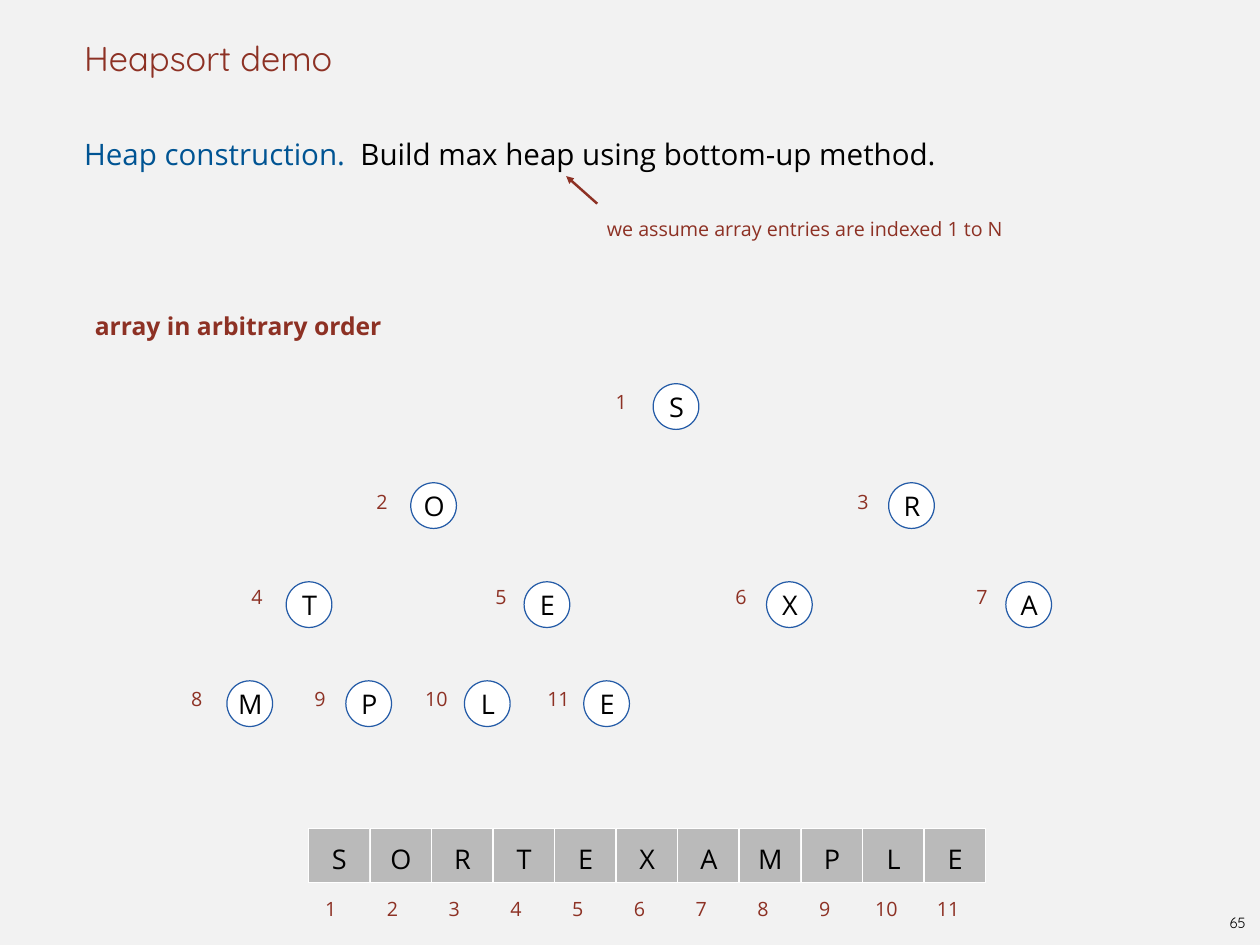
import pptx
import pptx.dml.color
import pptx.enum.shapes
import pptx.enum.text
import pptx.oxml
import pptx.oxml.ns
import pptx.util
from pptx.util import Cm, Pt

RED, BLUE, BLACK, WHITE = "8D3124", "005493", "000000", "FFFFFF"
BODY_FONT, TITLE_FONT = "Open Sans", "Quicksand"
ALIGN = pptx.enum.text.PP_ALIGN
ANCHOR = pptx.enum.text.MSO_ANCHOR
SHAPE = pptx.enum.shapes.MSO_SHAPE

LETTERS = "SORTEXAMPLE"

# Heap levels: label top, then (node centre, label left) for each node, in cm
NODE_SIZE = 1.31
FIRST_LEVEL, LEVEL_STEP = 11.66, 2.84
LEVELS = [
    (11.18, [(19.38, 17.5)]),
    (14.05, [(12.43, 10.64), (26.13, 24.43)]),
    (16.76, [(8.86, 7.06), (15.68, 14.05), (22.63, 20.93), (29.49, 27.84)]),
    (19.71, [(7.16, 5.33), (10.57, 8.86), (13.97, 12.04), (17.39, 15.54)]),
]

# Array row, in cm
CELL_LEFT, CELL_TOP, CELL_STEP = 8.84, 23.75, 1.765
CELL_WIDTH, CELL_HEIGHT = 1.75, 1.55
INDEX_LEFT, INDEX_TOP, INDEX_STEP = 9.17, 25.37, 1.77


def color(hex_string):
    return pptx.dml.color.RGBColor.from_string(hex_string)


def write(shape, *pieces, size=16, font=BODY_FONT, bold=False, align=ALIGN.LEFT,
          anchor=ANCHOR.TOP, spacing=1.0, indent=0.15, wrap=True):
    """Fill a shape with one paragraph made of (text, colour) pieces."""
    frame = shape.text_frame
    frame.word_wrap = wrap
    frame.auto_size = pptx.enum.text.MSO_AUTO_SIZE.NONE
    frame.vertical_anchor = anchor
    frame.margin_left = frame.margin_right = 0
    frame.margin_top = frame.margin_bottom = 0
    paragraph = frame.paragraphs[0]
    properties = paragraph._p.get_or_add_pPr()
    properties.set("marL", str(Cm(indent)))
    properties.set("indent", "0")
    pptx.oxml.ns.qn("a:buNone")
    properties.append(pptx.oxml.parse_xml(
        f'<a:buNone {pptx.oxml.ns.nsdecls("a")}/>'))
    paragraph.alignment = align
    paragraph.line_spacing = spacing
    paragraph.space_before = Pt(0)
    for text, text_color in pieces:
        run = paragraph.add_run()
        run.text = text
        run.font.size = Pt(size)
        run.font.name = font
        run.font.bold = bold
        run.font.color.rgb = color(text_color)


def place(shape, left, top, width, height):
    shape.left, shape.top = Cm(left), Cm(top)
    shape.width, shape.height = Cm(width), Cm(height)


def add_label(slide, text, left, top, width=1.2, text_color=RED, **text_format):
    box = slide.shapes.add_textbox(Cm(left), Cm(top), Cm(width), Cm(0.91))
    write(box, (text, text_color), **text_format)


def add_letter(slide, kind, letter, left, top, width, height, fill, line,
               line_width, spacing=1.0):
    shape = slide.shapes.add_shape(kind, Cm(left), Cm(top), Cm(width), Cm(height))
    shape.shadow.inherit = False
    shape.fill.solid()
    shape.fill.fore_color.rgb = color(fill)
    shape.line.color.rgb = color(line)
    shape.line.width = Pt(line_width)
    write(shape, (letter, BLACK), size=22, align=ALIGN.CENTER,
          anchor=ANCHOR.MIDDLE, spacing=spacing, indent=0.03)


def add_arrow(slide, tip_x, tip_y, tail_x, tail_y):
    arrow = slide.shapes.add_connector(
        pptx.enum.shapes.MSO_CONNECTOR.STRAIGHT,
        Cm(tip_x), Cm(tip_y), Cm(tail_x), Cm(tail_y))
    arrow.line.color.rgb = color(RED)
    arrow.line.width = Pt(2)
    namespace = pptx.oxml.ns.nsdecls("a")
    outline = arrow._element.spPr.find(pptx.oxml.ns.qn("a:ln"))
    outline.append(pptx.oxml.parse_xml(f'<a:headEnd {namespace} type="triangle"/>'))
    arrow._element.spPr.append(pptx.oxml.parse_xml(f"<a:effectLst {namespace}/>"))


def add_array(slide):
    for position, letter in enumerate(LETTERS):
        add_letter(slide, SHAPE.RECTANGLE, letter,
                   CELL_LEFT + position * CELL_STEP, CELL_TOP,
                   CELL_WIDTH, CELL_HEIGHT, "BABABA", WHITE, 0.5, spacing=1.2)
        index = str(position + 1)
        shift = 0.16 * (len(index) - 1)
        add_label(slide, index, INDEX_LEFT + position * INDEX_STEP - shift,
                  INDEX_TOP, spacing=1.5)


def add_heap(slide):
    nodes = enumerate(LETTERS, start=1)
    for depth, (label_top, places) in enumerate(LEVELS):
        node_top = FIRST_LEVEL + depth * LEVEL_STEP - NODE_SIZE / 2
        for center, label_left in places:
            index, letter = next(nodes)
            add_letter(slide, SHAPE.OVAL, letter, center - NODE_SIZE / 2, node_top,
                       NODE_SIZE, NODE_SIZE, WHITE, "245BA7", 1)
            add_label(slide, str(index), label_left, label_top)


def main():
    deck = pptx.Presentation()
    deck.slide_width, deck.slide_height = Cm(36.12), Cm(27.1)
    slide = deck.slides.add_slide(deck.slide_layouts[1])
    slide.background.fill.solid()
    slide.background.fill.fore_color.rgb = color("F2F2F2")

    # Title and statement
    title, statement = slide.placeholders
    place(title, 2.26, 0, 31.6, 2.26)
    write(title, ("Heapsort demo", RED), size=28, font=TITLE_FONT,
          anchor=ANCHOR.BOTTOM)
    place(statement, 2.26, 3.53, 31.6, 22.58)
    write(statement, ("Heap construction.  ", BLUE),
          ("Build max heap using bottom-up method.", BLACK),
          size=24, spacing=Pt(39))

    # Remark on the indices
    add_label(slide, "we assume array entries are indexed 1 to N",
              17.25, 5.87, width=12.42, spacing=1.5)
    add_arrow(slide, 16.23, 5.05, 17.12, 5.84)

    # Heap as a tree and as an array
    add_label(slide, "array in arbitrary order", 2.57, 8.92, width=8.92,
              size=20, bold=True)
    add_heap(slide)
    add_array(slide)

    # Page number
    add_label(slide, "65", 35.05, 26.0, width=0.86, text_color=BLACK, size=12,
              font=TITLE_FONT, align=ALIGN.CENTER, anchor=ANCHOR.MIDDLE,
              indent=0, wrap=False)

    deck.save("out.pptx")


if __name__ == "__main__":
    main()
